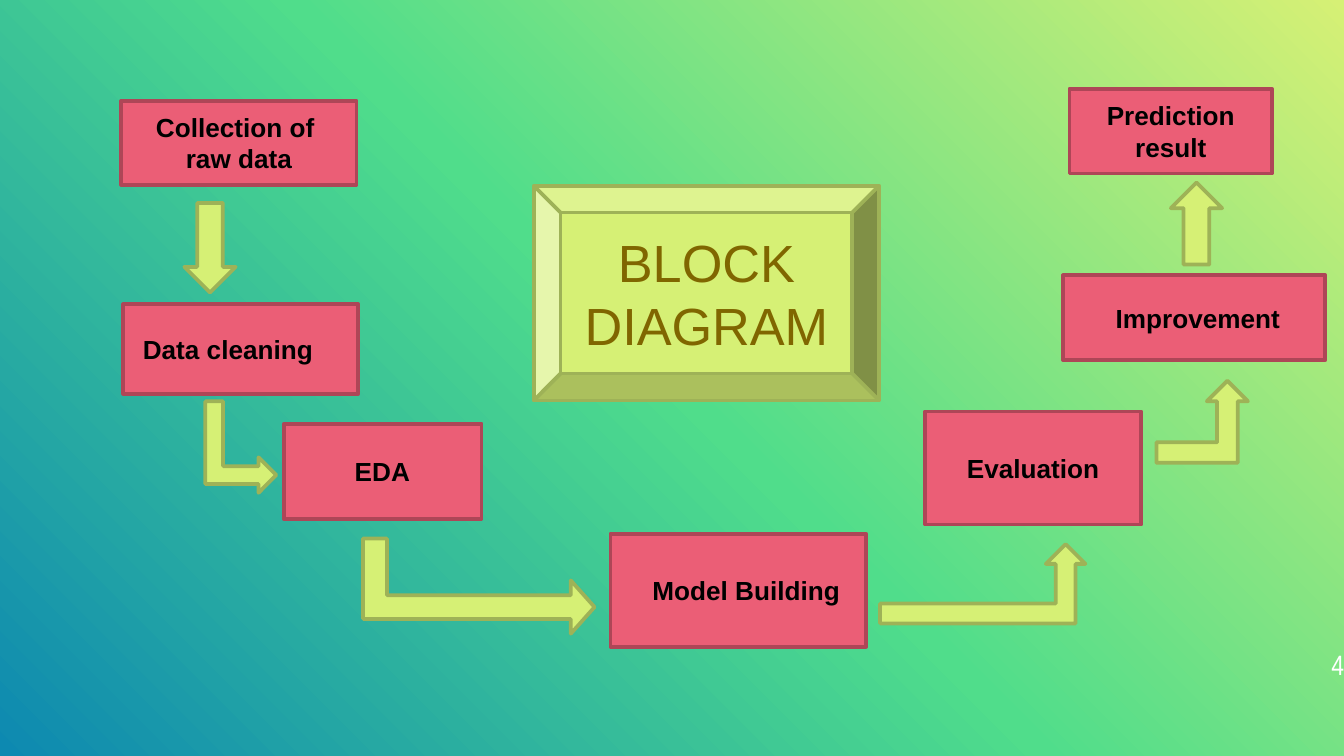
from lxml import etree
from pptx import Presentation
from pptx.dml.color import RGBColor
from pptx.enum.shapes import MSO_SHAPE
from pptx.enum.text import MSO_ANCHOR, PP_ALIGN
from pptx.oxml.ns import qn
from pptx.util import Pt

RECT, BEVEL = MSO_SHAPE.RECTANGLE, MSO_SHAPE.BEVEL
STRAIGHT, BENT = MSO_SHAPE.RIGHT_ARROW, MSO_SHAPE.BENT_UP_ARROW
LEFT, CENTER, RIGHT = PP_ALIGN.LEFT, PP_ALIGN.CENTER, PP_ALIGN.RIGHT
MIDDLE = MSO_ANCHOR.MIDDLE

COLORS = {
    "lime": "D6F075", "lime_edge": "9EB257",
    "pink": "EB5E76", "pink_edge": "AE4657",
    "green": "50DD8B", "blue": "0D89B1",
    "title": "806600", "step": "000000", "number": "FFFFFF",
}
BACKGROUND = [(0, "lime"), (50, "green"), (100, "blue")]
FORMATS = {
    "step": {"size": Pt(14), "name": "Arial", "bold": True},
    "title": {"size": Pt(28), "name": "Arial"},
    "number": {"size": Pt(15), "name": "Arial Narrow"},
}

STEPS = [
    (["Collection of ", "raw data"], (65, 54, 126, 45), CENTER, 7.2),
    (["Data cleaning"], (66, 163, 126, 48), LEFT, 10.5),
    (["EDA"], (152, 227, 106, 51), LEFT, 38),
    (["Model Building"], (327, 286, 137, 60.5), LEFT, 22.5),
    (["Evaluation"], (495.5, 220.5, 116, 60.5), CENTER, 7.2),
    (["Improvement"], (569.5, 147.5, 140.5, 45.5), CENTER, 11),
    (["Prediction result"], (573, 47.5, 108.5, 45.5), CENTER, 7.2),
]
ARROWS = [
    (STRAIGHT, (88.5, 119, 48, 27.5), 90, []),
    (BENT, (104.5, 220.5, 49, 38), 90, []),
    (BENT, (231, 252, 51, 124), 90, [0.25, 0.28, 0.25]),
    (BENT, (471.5, 291.5, 110, 42.5), 0, []),
    (BENT, (619.5, 204, 49, 44), 0, []),
    (STRAIGHT, (619, 106, 44, 27.5), 270, []),
]
TITLE = (["BLOCK DIAGRAM"], (286, 99.5, 185, 115))
NUMBER = (["4"], (677, 340.5, 43, 31))


def rgb(color):
    return RGBColor.from_string(COLORS[color])


def paint_background(slide, stops):
    slide.background.fill.solid()
    properties = slide._element.cSld.find(qn("p:bg")).find(qn("p:bgPr"))
    properties.remove(properties[0])
    gradient = etree.Element(qn("a:gradFill"), rotWithShape="1")
    stop_list = etree.SubElement(gradient, qn("a:gsLst"))
    for percent, color in stops:
        stop = etree.SubElement(stop_list, qn("a:gs"), pos=str(percent * 1000))
        etree.SubElement(stop, qn("a:srgbClr"), val=COLORS[color])
    radial = etree.SubElement(gradient, qn("a:path"), path="circle")
    etree.SubElement(radial, qn("a:fillToRect"), l="100000", b="100000")
    properties.insert(0, gradient)


def add_block(slide, kind, box, color):
    block = slide.shapes.add_shape(kind, *map(Pt, box))
    block.shadow.inherit = False
    block.fill.solid()
    block.fill.fore_color.rgb = rgb(color)
    block.line.color.rgb = rgb(color + "_edge")
    block.line.width = Pt(2)
    return block


def write(holder, lines, role, align, **margins):
    frame = holder.text_frame
    frame.text = "\n".join(lines)
    layout = {"word_wrap": True, "vertical_anchor": MIDDLE, **margins}
    for key, value in layout.items():
        setattr(frame, key, value)
    for paragraph in frame.paragraphs:
        paragraph.alignment = align
        font = paragraph.runs[0].font
        font.color.rgb = rgb(role)
        for key, value in FORMATS[role].items():
            setattr(font, key, value)


def main():
    deck = Presentation()
    deck.slide_width, deck.slide_height = Pt(720), Pt(405)
    slide = deck.slides.add_slide(deck.slide_layouts[6])
    paint_background(slide, BACKGROUND)

    lines, box = NUMBER
    number = slide.shapes.add_textbox(*map(Pt, box))
    sides = ("left", "top", "right", "bottom")
    write(number, lines, "number", RIGHT, **{f"margin_{side}": 0 for side in sides})

    lines, box = TITLE
    write(add_block(slide, BEVEL, box, "lime"), lines, "title", CENTER)

    for lines, box, align, inset in STEPS:
        step = add_block(slide, RECT, box, "pink")
        write(step, lines, "step", align, margin_left=Pt(inset))

    for kind, box, turn, adjustments in ARROWS:
        arrow = add_block(slide, kind, box, "lime")
        arrow.rotation = turn
        for index, value in enumerate(adjustments):
            arrow.adjustments[index] = value

    deck.save("out.pptx")


if __name__ == "__main__":
    main()
